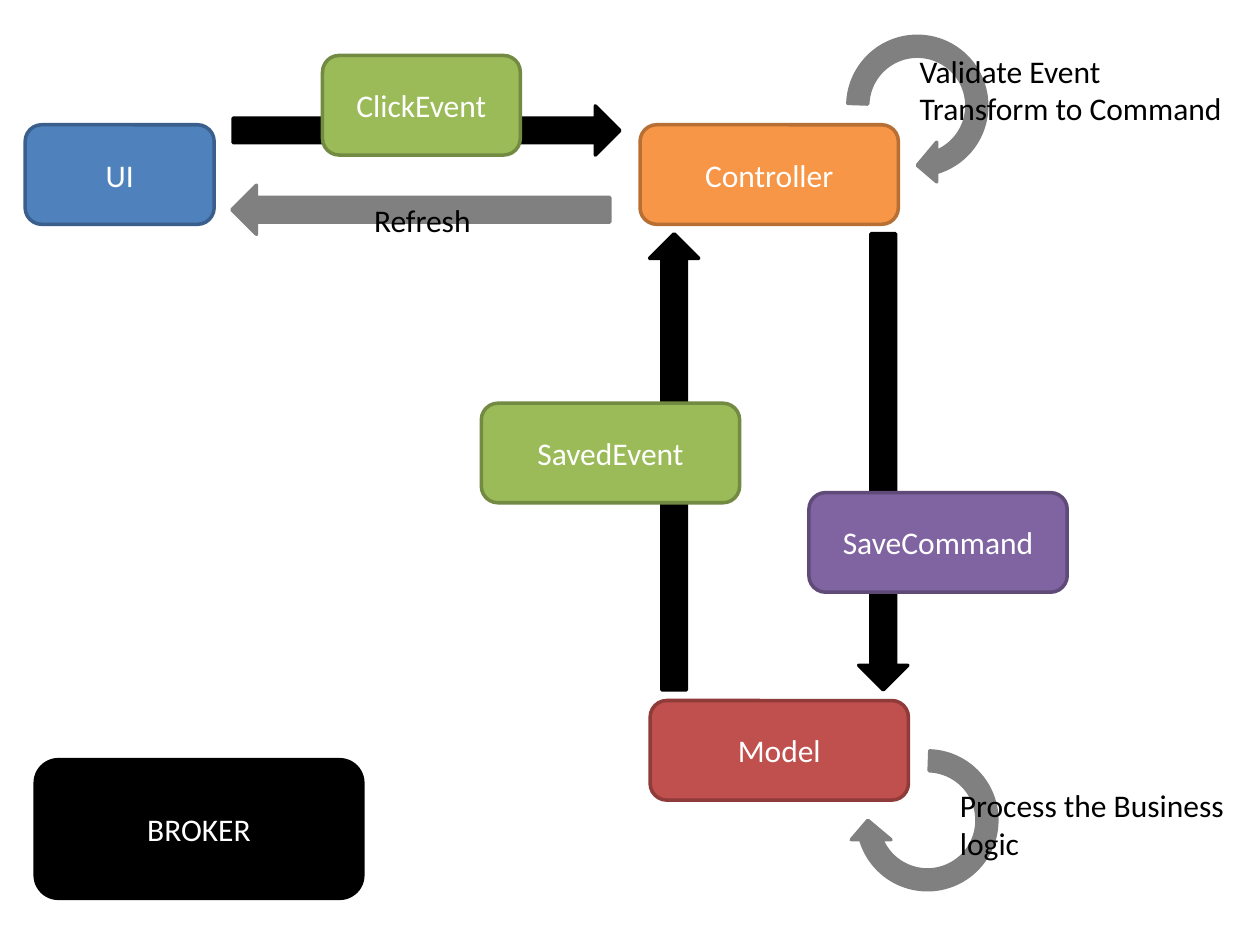
from dataclasses import dataclass
from pptx import Presentation
from pptx.dml.color import RGBColor
from pptx.enum.shapes import MSO_SHAPE
from pptx.enum.text import MSO_ANCHOR, MSO_AUTO_SIZE, PP_ALIGN
from pptx.util import Inches, Pt


@dataclass(frozen=True)
class Theme:
    """Holds colours as fill and line pairs, the font and the sizes."""
    blue: tuple = ("4F81BD", "3A5F8C")
    orange: tuple = ("F79646", "B76F34")
    green: tuple = ("9BBB59", "738A42")
    purple: tuple = ("8064A2", "5F4A78")
    red: tuple = ("C0504D", "8E3B39")
    black: tuple = ("000000", "000000")
    gray: tuple = ("808080", "808080")
    white: str = "FFFFFF"
    ink: str = "000000"
    font: str = "Calibri"
    size: int = 18
    edge: int = 2


THEME = Theme()
COLS, ROWS = 10, 7.5
NODE = (2.05, 0.79)
SHAFT = 0.39
LOOP = 1.26
BEND = (0.125, 11.423, 204.577, 55.192, 0.125)


def place(box, x, y, w, h):
    """Turns columns and rows within a box into slide lengths."""
    return [Inches(n) for n in (box[0] + x, box[1] + y, w, h)]


def write(frame, text, color=THEME.ink, align=PP_ALIGN.LEFT):
    """Puts formatted text into a frame."""
    para = frame.paragraphs[0]
    para.text, para.alignment = text, align
    for run in para.runs:
        run.font.name, run.font.size = THEME.font, Pt(THEME.size)
        run.font.color.rgb = RGBColor.from_string(color)


def draw(slide, kind, spot, tone, turn=0):
    """Adds a flat shape in one fill and line pair."""
    shape = slide.shapes.add_shape(kind, *spot)
    shape.shadow.inherit = False
    shape.rotation = turn
    fill, line = map(RGBColor.from_string, tone)
    shape.fill.solid()
    shape.fill.fore_color.rgb = fill
    shape.line.color.rgb = line
    shape.line.width = Pt(THEME.edge)
    return shape


def node(slide, box, x, y, text, tone, size=NODE):
    """Adds a rounded box with a centred name."""
    shape = draw(slide, MSO_SHAPE.ROUNDED_RECTANGLE, place(box, x, y, *size), tone)
    shape.text_frame.vertical_anchor = MSO_ANCHOR.MIDDLE
    write(shape.text_frame, text, color=THEME.white, align=PP_ALIGN.CENTER)


def arrow(slide, box, x, y, span, tone, turn=0):
    """Adds a block arrow that turns about its middle."""
    draw(slide, MSO_SHAPE.RIGHT_ARROW, place(box, x, y, span, SHAFT), tone, turn)


def label(slide, box, x, y, w, h, text):
    """Adds plain text that does not wrap."""
    frame = slide.shapes.add_textbox(*place(box, x, y, w, h)).text_frame
    frame.word_wrap = False
    frame.auto_size = MSO_AUTO_SIZE.SHAPE_TO_FIT_TEXT
    write(frame, text)


def loop(slide, box, turn, note, text):
    """Draws a self call and its note."""
    spot = place(box, 0, 0, LOOP, LOOP)
    shape = draw(slide, MSO_SHAPE.CIRCULAR_ARROW, spot, THEME.gray, turn)
    for i, value in enumerate(BEND):
        shape.adjustments[i] = value
    label(slide, box, *note, text)


def front(slide, box):
    """Draws the exchange between the UI and the controller."""
    node(slide, box, 0, 0.55, "UI", THEME.blue, (1.5, NODE[1]))
    node(slide, box, 4.88, 0.55, "Controller", THEME.orange)
    arrow(slide, box, 1.65, 0.4, 3.07, THEME.black)
    node(slide, box, 2.36, 0, "ClickEvent", THEME.green, (1.57, NODE[1]))
    arrow(slide, box, 1.64, 1.03, 3, THEME.gray, 180)
    label(slide, box, 2.67, 1.11, 0.98, 0.4, "Refresh")


def back(slide, box):
    """Draws the exchange between the controller and the model."""
    arrow(slide, box, 1.38, 1.61, 3.62, THEME.black, 90)
    node(slide, box, 2.6, 2.05, "SaveCommand", THEME.purple)
    node(slide, box, 1.34, 3.7, "Model", THEME.red)
    arrow(slide, box, -0.28, 1.61, 3.62, THEME.black, 270)
    node(slide, box, 0, 1.34, "SavedEvent", THEME.green)


def build():
    """Builds and saves the slide."""
    deck = Presentation()
    deck.slide_width, deck.slide_height = Inches(COLS), Inches(ROWS)
    slide = deck.slides.add_slide(deck.slide_layouts[6])
    node(slide, (0.28, 6.03), 0, 0, "BROKER", THEME.black, (2.6, 1.1))
    front(slide, (0.2, 0.44))
    back(slide, (3.82, 1.86))
    loop(slide, (6.65, 0.21), 90, (0.55, 0.15, 2.63, 0.71),
         "Validate Event\nTransform to Command")
    loop(slide, (6.73, 5.88), 180, (0.79, 0.31, 2.32, 0.71),
         "Process the Business\nlogic")
    deck.save("out.pptx")


build()
